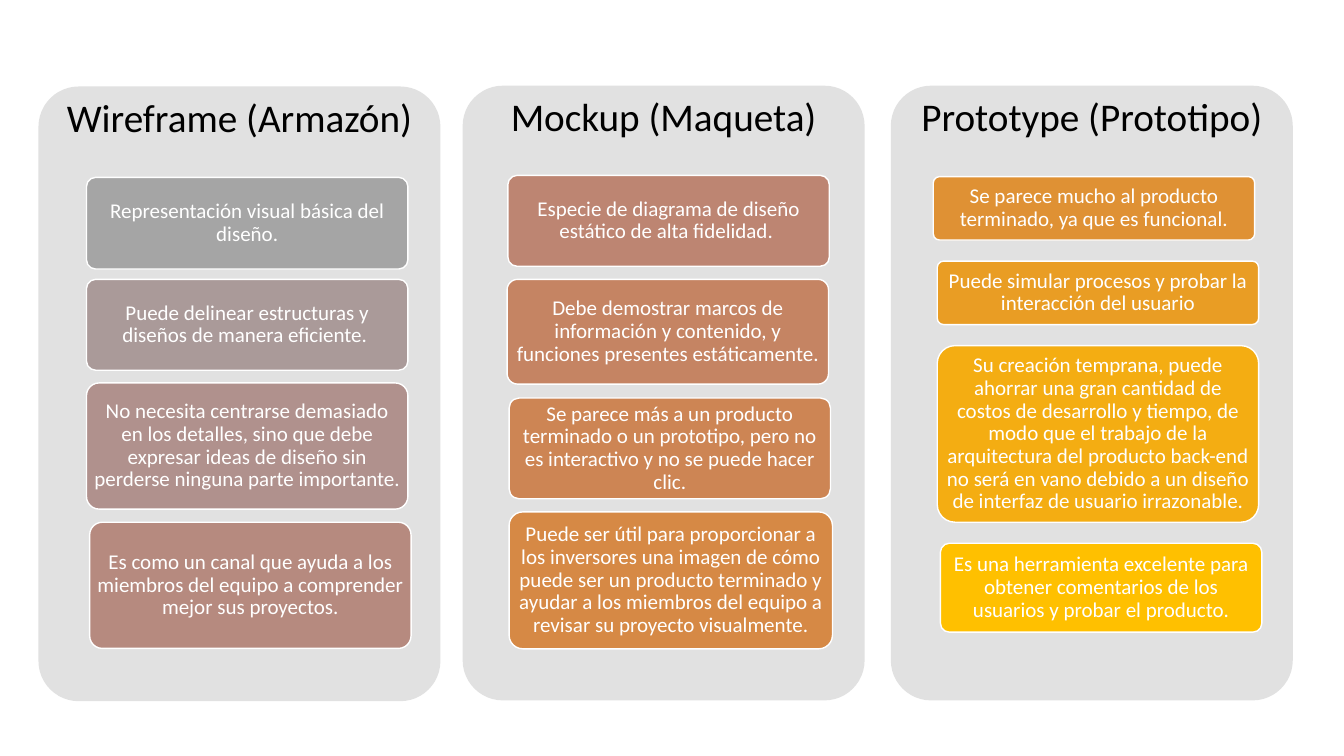
from dataclasses import dataclass

from pptx import Presentation
from pptx.dml.color import RGBColor
from pptx.enum.shapes import MSO_SHAPE as Kind
from pptx.enum.text import MSO_ANCHOR as Anchor, PP_ALIGN as Align
from pptx.util import Cm, Pt

# Colours
WHITE = RGBColor(0xFF, 0xFF, 0xFF)
BLACK = RGBColor(0x00, 0x00, 0x00)
PALE = RGBColor(0xE1, 0xE1, 0xE1)
GRAY = RGBColor(0xA5, 0xA5, 0xA5)
MAUVE = RGBColor(0xAA, 0x9A, 0x99)
ROSE = RGBColor(0xB0, 0x91, 0x8D)
BLUSH = RGBColor(0xB6, 0x8A, 0x7F)
CLAY = RGBColor(0xBD, 0x85, 0x72)
RUST = RGBColor(0xC5, 0x84, 0x63)
COPPER = RGBColor(0xCD, 0x85, 0x54)
BRONZE = RGBColor(0xD6, 0x89, 0x45)
OCHRE = RGBColor(0xDF, 0x91, 0x34)
AMBER = RGBColor(0xE9, 0x9D, 0x24)
HONEY = RGBColor(0xF4, 0xAD, 0x12)
GOLD = RGBColor(0xFF, 0xC0, 0x00)

# Sizes in centimetres
PANEL_W, PANEL_H = 10.13, 15.49
CARD_W = 8.1
ROUND = 0.1


@dataclass
class Card:
    left: float
    top: float
    height: float
    fill: RGBColor
    text: str
    width: float = CARD_W


@dataclass
class Panel:
    left: float
    top: float
    title: str
    cards: list[Card]


@dataclass
class Style:
    size: int
    color: RGBColor
    anchor: Anchor
    side: float
    edge: float


HEAD = Style(28, BLACK, Anchor.TOP, 0, 0)
BODY = Style(15, WHITE, Anchor.MIDDLE, 0.1, 0.08)

PANELS = [
    Panel(0.97, 2.18, "Wireframe (Armazón)", [
        Card(2.18, 4.47, 2.31, GRAY, "Representación visual básica del diseño."),
        Card(2.18, 7.04, 2.29, MAUVE,
             "Puede delinear estructuras y diseños de manera eficiente. "),
        Card(2.18, 9.65, 3.18, ROSE,
             "No necesita centrarse demasiado en los detalles, sino que debe "
             "expresar ideas de diseño sin perderse ninguna parte importante. "),
        Card(2.26, 13.16, 3.18, BLUSH,
             "Es como un canal que ayuda a los miembros del equipo a "
             "comprender mejor sus proyectos."),
    ]),
    Panel(11.66, 2.16, "Mockup (Maqueta)", [
        Card(12.8, 4.42, 2.29, CLAY,
             "Especie de diagrama de diseño estático de alta fidelidad. "),
        Card(12.78, 7.04, 2.64, RUST,
             "Debe demostrar marcos de información y contenido, y funciones "
             "presentes estáticamente."),
        Card(12.83, 10.03, 2.54, COPPER,
             "Se parece más a un producto terminado o un prototipo, pero no "
             "es interactivo y no se puede hacer clic."),
        Card(12.83, 12.9, 3.45, BRONZE,
             "Puede ser útil para proporcionar a los inversores una imagen de "
             "cómo puede ser un producto terminado y ayudar a los miembros "
             "del equipo a revisar su proyecto visualmente.", 8.15),
    ]),
    Panel(22.45, 2.16, "Prototype (Prototipo)", [
        Card(23.52, 4.45, 1.6, OCHRE,
             "Se parece mucho al producto terminado, ya que es funcional."),
        Card(23.62, 6.58, 1.6, AMBER,
             "Puede simular procesos y probar la interacción del usuario"),
        Card(23.62, 8.71, 4.45, HONEY,
             "Su creación temprana, puede ahorrar una gran cantidad de costos "
             "de desarrollo y tiempo, de modo que el trabajo de la "
             "arquitectura del producto back-end no será en vano debido a un "
             "diseño de interfaz de usuario irrazonable."),
        Card(23.7, 13.69, 2.24, GOLD,
             "Es una herramienta excelente para obtener comentarios de los "
             "usuarios y probar el producto."),
    ]),
]


def apply(item, values: dict) -> None:
    for name, value in values.items():
        setattr(item, name, value)


def write(shape, text: str, style: Style) -> None:
    frame = shape.text_frame
    side, edge = Cm(style.side), Cm(style.edge)
    apply(frame, {
        "word_wrap": True, "vertical_anchor": style.anchor,
        "margin_left": side, "margin_right": side,
        "margin_top": edge, "margin_bottom": edge,
    })
    para = frame.paragraphs[0]
    apply(para, {"alignment": Align.CENTER, "line_spacing": 0.9})
    run = para.add_run()
    run.text = text
    apply(run.font, {"name": "Calibri", "size": Pt(style.size)})
    run.font.color.rgb = style.color


def add_box(slide, left: float, top: float, width: float, height: float,
            fill: RGBColor):
    box = slide.shapes.add_shape(Kind.ROUNDED_RECTANGLE, Cm(left), Cm(top),
                                 Cm(width), Cm(height))
    box.adjustments[0] = ROUND
    box.shadow.inherit = False
    box.fill.solid()
    box.fill.fore_color.rgb = fill
    return box


def add_card(slide, card: Card) -> None:
    box = add_box(slide, card.left, card.top, card.width, card.height, card.fill)
    box.line.color.rgb = WHITE
    box.line.width = Pt(1)
    write(box, card.text, BODY)


def add_panel(slide, panel: Panel) -> None:
    box = add_box(slide, panel.left, panel.top, PANEL_W, PANEL_H, PALE)
    box.line.fill.background()
    write(box, panel.title, HEAD)
    for card in panel.cards:
        add_card(slide, card)


def main() -> None:
    deck = Presentation()
    apply(deck, {"slide_width": Cm(33.87), "slide_height": Cm(19.05)})
    slide = deck.slides.add_slide(deck.slide_layouts[6])
    for panel in PANELS:
        add_panel(slide, panel)
    deck.save("out.pptx")


if __name__ == "__main__":
    main()
